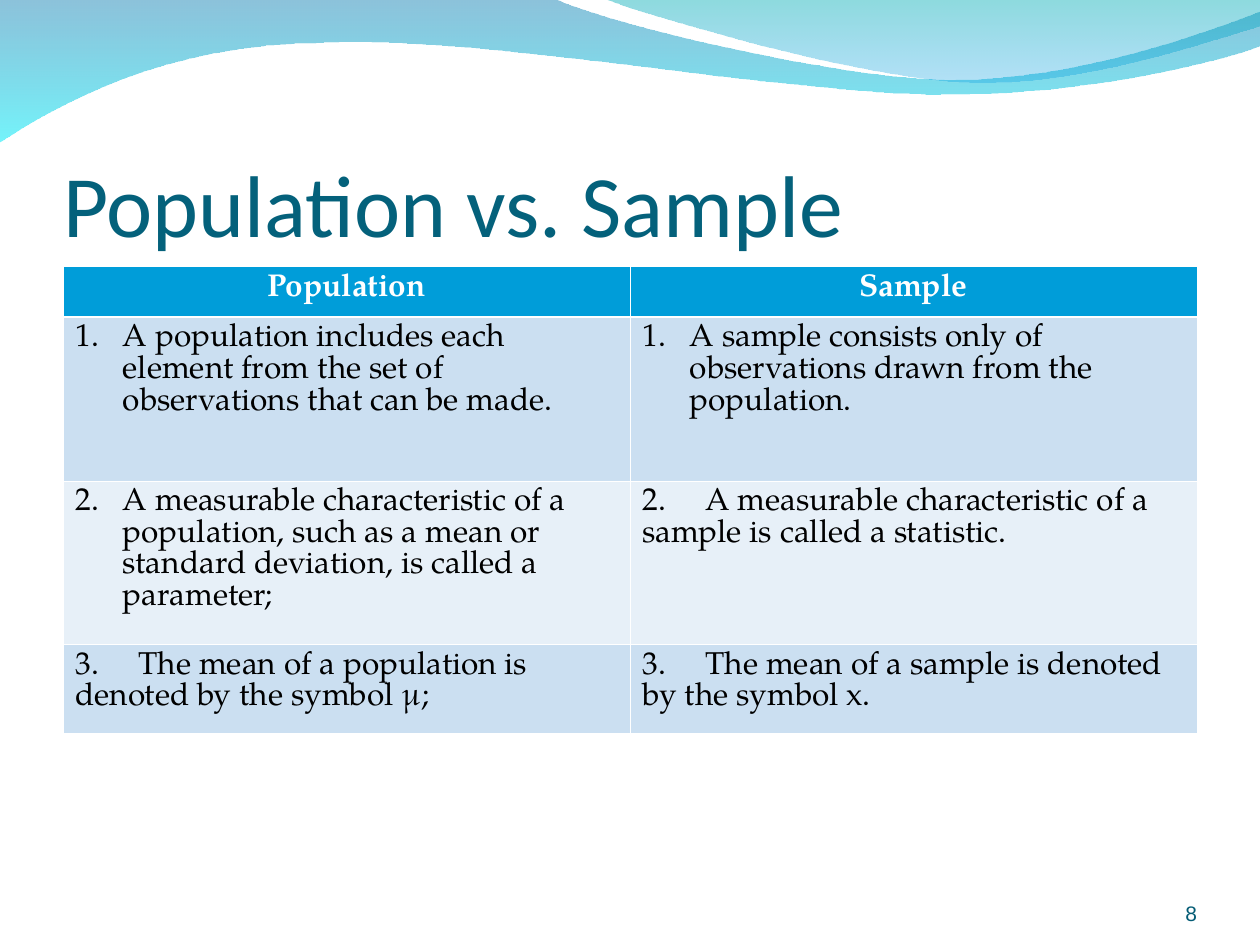
import pptx
import pptx.util
import pptx.dml.color
import pptx.enum.text
import pptx.oxml.ns
from lxml import etree

Pt = pptx.util.Pt
qn = pptx.oxml.ns.qn
ALIGN = pptx.enum.text.PP_ALIGN
ANCHOR = pptx.enum.text.MSO_ANCHOR

COLORS = {
    "title": "04617B", "number": "045C75", "header": "009DD9",
    "band_dark": "CBDFF1", "band_light": "E7F0F8",
    "white": "FFFFFF", "black": "000000",
    "deep_blue": "0079AF", "cyan": "00EBF8", "teal": "00ADB6", "sky": "009BE5",
}
TABLE_FONT = "TeX Gyre Pagella"

# Wave outlines: one point is a straight side, three points are a Bezier curve
BACK_WAVE = [
    [(0, -0.7)], [(316.8, -0.7)],
    [(342.7, 12.2), (478, 45.4), (545.8, 45.4)],
    [(614.2, 45.4), (689.8, 18.7), (720, 6.5)],
    [(720.7, 25.9)],
    [(707.8, 31.7), (626.4, 54.7), (537.1, 54)],
    [(447.8, 54), (275, 20.2), (185, 24.5)],
    [(92.9, 25.2), (33.1, 59.8), (-0.7, 81.4)],
]
FRONT_WAVE = [
    [(344.9, -0.7)],
    [(366.5, 7.9), (491, 44.6), (553.7, 46.8)],
    [(616.3, 49.7), (691.9, 23), (720, 15.1)],
    [(720, 0)],
]

# Each entry: text, hanging indent, automatic number
HEADINGS = ["Population", "Sample"]
COMPARISON = [
    [("A population includes each element from the set of observations that can be made.", 27, True),
     ("A sample consists only of observations drawn from the population.", 27, True)],
    [("2.\tA measurable characteristic of a population, such as a mean or "
      "standard deviation, is called a parameter;", 27, False),
     ("2.\tA measurable characteristic of a sample is called a statistic.", 0, False)],
    [("3.\tThe mean of a population is\vdenoted by the symbol μ;", 0, False),
     ("3.\tThe mean of a sample is denoted\vby the symbol x.", 0, False)],
]


def rgb(name):
    return pptx.dml.color.RGBColor.from_string(COLORS[name])


def style_font(paragraph, face, size, color, bold=False):
    for run in paragraph.runs:
        run.font.name = face
        run.font.size = Pt(size)
        run.font.color.rgb = rgb(color)
        run.font.bold = bold


def add_wave(slide, outline, stops):
    points = [(Pt(x), Pt(y)) for part in outline for x, y in part]
    builder = slide.shapes.build_freeform(*points[0])
    builder.add_line_segments(points[1:], close=True)
    wave = builder.convert_to_shape()

    # Merge each run of three sides into one curve
    sides = iter(list(wave._element.iter(qn("a:lnTo"))))
    for part in outline[1:]:
        group = [next(sides) for _ in part]
        if len(group) == 3:
            curve = etree.Element(qn("a:cubicBezTo"))
            group[0].addprevious(curve)
            for side in group:
                curve.append(side[0])
                side.getparent().remove(side)

    wave.shadow.inherit = False
    wave.line.fill.background()
    wave.fill.gradient()
    wave.fill.gradient_angle = 270
    for stop, position, (color, _) in zip(wave.fill.gradient_stops, (0, 1), stops):
        stop.position = position
        stop.color.rgb = rgb(color)
    for tint, (_, opacity) in zip(wave._element.spPr.iter(qn("a:srgbClr")), stops):
        etree.SubElement(tint, qn("a:alpha")).set("val", str(opacity * 1000))


def place_title(slide, left, top, width, height):
    title = slide.shapes.title
    title.left, title.top, title.width, title.height = Pt(left), Pt(top), Pt(width), Pt(height)
    frame = title.text_frame
    frame.text = "Population vs. Sample"
    frame.margin_left = frame.margin_right = frame.margin_bottom = 0
    frame.margin_top = Pt(3.6)
    frame.vertical_anchor = ANCHOR.BOTTOM
    frame.auto_size = pptx.enum.text.MSO_AUTO_SIZE.NONE
    frame.paragraphs[0].alignment = ALIGN.LEFT
    style_font(frame.paragraphs[0], "Calibri", 50, "title")
    # Keep the title in front of the waves
    slide.shapes._spTree.append(title._element)


def add_borders(cell, widths):
    properties = cell._tc.get_or_add_tcPr()
    for index, (side, width) in enumerate(widths.items()):
        border = etree.Element(qn("a:" + side), w=str(Pt(width)))
        fill = etree.SubElement(border, qn("a:solidFill"))
        etree.SubElement(fill, qn("a:srgbClr"), val=COLORS["white"])
        properties.insert(index, border)


def fill_cell(cell, text, fill, color, bold=False, indent=0, numbered=False):
    cell.fill.solid()
    cell.fill.fore_color.rgb = rgb(fill)
    cell.text_frame.text = text
    paragraph = cell.text_frame.paragraphs[0]
    paragraph.line_spacing = Pt(18.2)
    properties = paragraph._p.get_or_add_pPr()
    properties.set("marL", str(Pt(indent)))
    properties.set("indent", str(-Pt(indent)))
    if numbered:
        etree.SubElement(properties, qn("a:buFont"), typeface=TABLE_FONT)
        etree.SubElement(properties, qn("a:buAutoNum"), type="arabicPeriod")
    elif "\t" in text:
        tabs = etree.SubElement(properties, qn("a:tabLst"))
        etree.SubElement(tabs, qn("a:tab"), pos=str(Pt(22.5)), algn="l")
    style_font(paragraph, TABLE_FONT, 18, color, bold)
    return paragraph


def add_comparison(slide, left, top, width, row_heights):
    frame = slide.shapes.add_table(len(row_heights), len(HEADINGS), Pt(left), Pt(top),
                                   Pt(width), Pt(sum(row_heights)))
    table = frame.table
    for column in table.columns:
        column.width = Pt(width / len(HEADINGS))
    for row, height in zip(table.rows, row_heights):
        row.height = Pt(height)

    for index, heading in enumerate(HEADINGS):
        paragraph = fill_cell(table.cell(0, index), heading, "header", "white", bold=True)
        paragraph.alignment = ALIGN.CENTER
    for row, entries in enumerate(COMPARISON, start=1):
        band = "band_dark" if row % 2 else "band_light"
        for column, (text, indent, numbered) in enumerate(entries):
            fill_cell(table.cell(row, column), text, band, "black",
                      indent=indent, numbered=numbered)

    # Thin white grid with a heavier rule below the headings
    for row in range(len(row_heights)):
        for column in range(len(HEADINGS)):
            add_borders(table.cell(row, column), {
                "lnL": 0.45, "lnR": 0.45,
                "lnT": 1.5 if row == 1 else 0.45,
                "lnB": 1.5 if row == 0 else 0.45})


def add_page_number(slide, left, top, width, height):
    number = slide.shapes.add_textbox(Pt(left), Pt(top), Pt(width), Pt(height))
    frame = number.text_frame
    frame.word_wrap = True
    frame.margin_left = frame.margin_right = frame.margin_top = frame.margin_bottom = 0
    frame.vertical_anchor = ANCHOR.BOTTOM
    frame.text = "8"
    frame.paragraphs[0].alignment = ALIGN.RIGHT
    style_font(frame.paragraphs[0], "Arial", 12, "number")


def main():
    deck = pptx.Presentation()
    deck.slide_width, deck.slide_height = Pt(720), Pt(540)
    slide = deck.slides.add_slide(deck.slide_layouts[5])
    add_wave(slide, BACK_WAVE, [("deep_blue", 45), ("cyan", 55)])
    add_wave(slide, FRONT_WAVE, [("teal", 45), ("sky", 30)])
    place_title(slide, 36, 55.5, 648, 90)
    add_comparison(slide, 36, 152.2, 648, [29, 93.6, 93.6, 50.9])
    add_page_number(slide, 624, 500, 60, 28.8)
    deck.save("out.pptx")


if __name__ == "__main__":
    main()
